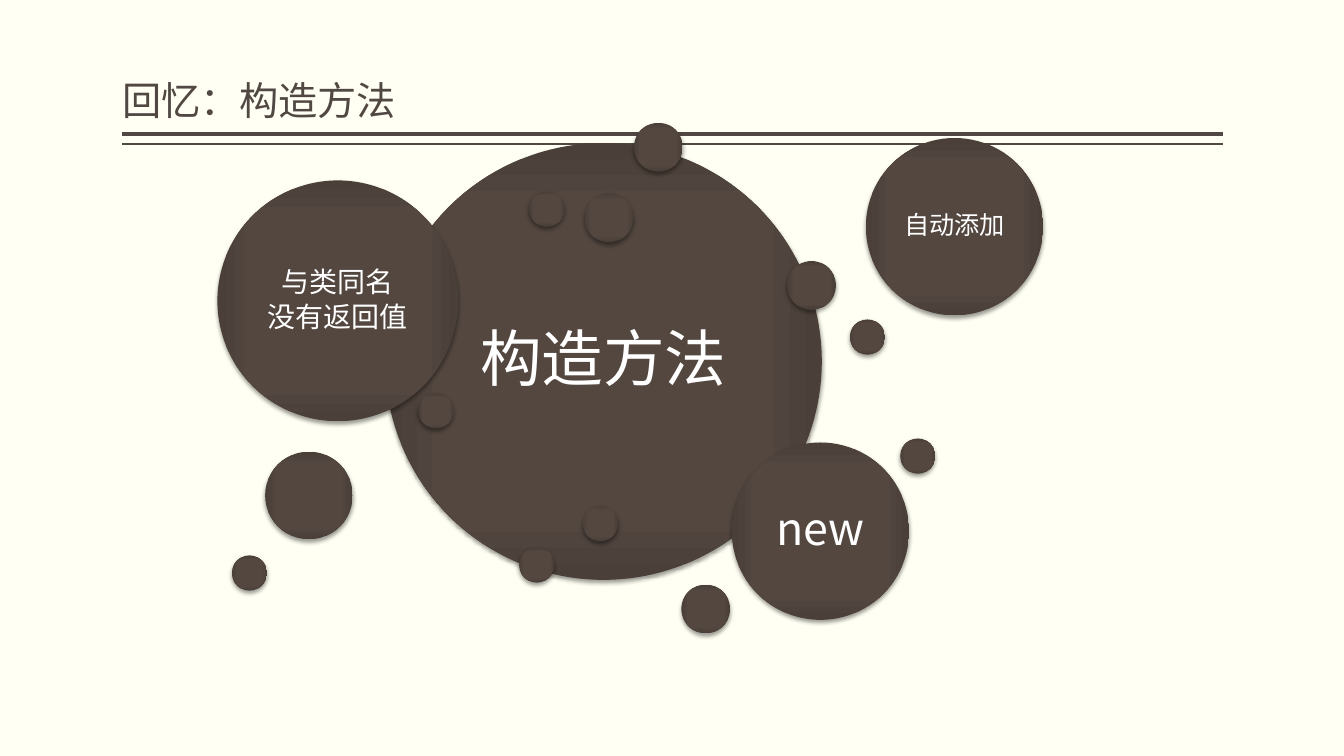
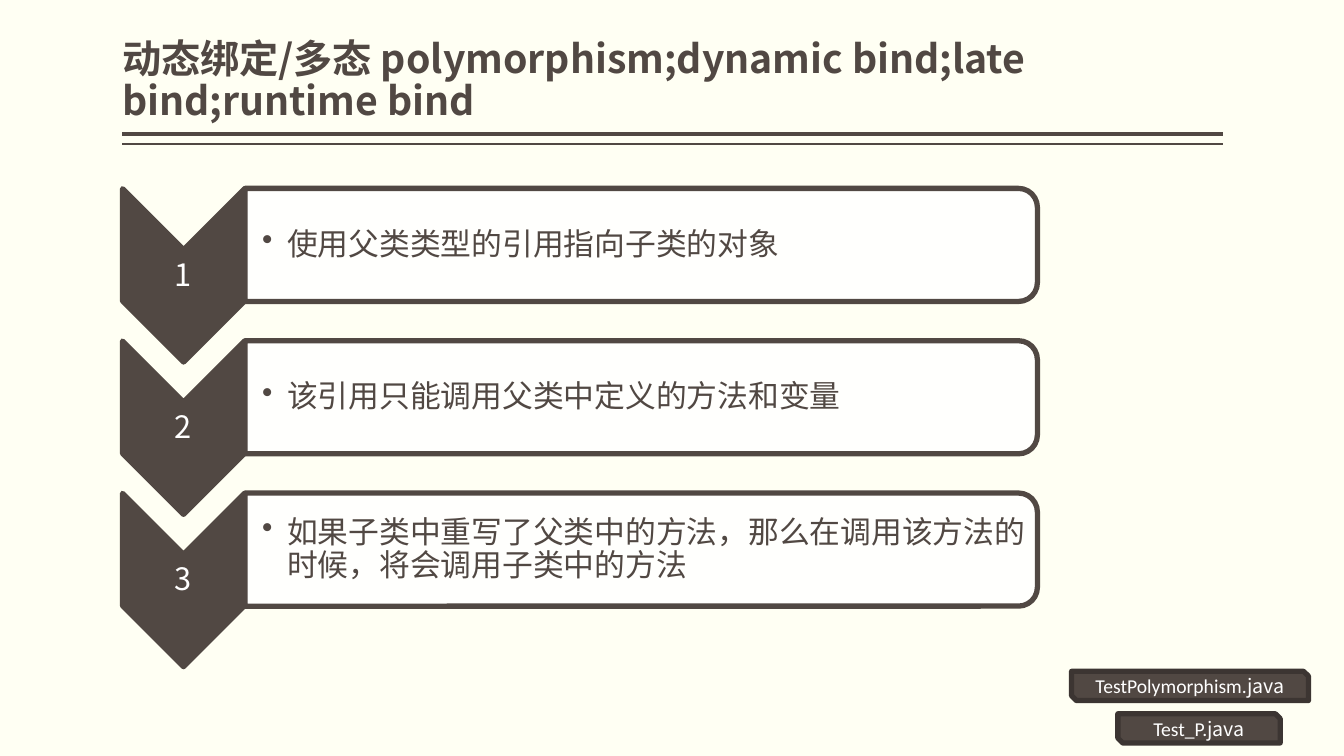
from dataclasses import dataclass
from typing import NamedTuple

from pptx import Presentation, util as u
from pptx.dml.color import RGBColor
from pptx.enum import shapes as sh, text as tx
from pptx.oxml import parse_xml, xmlchemy as xc
from pptx.oxml.ns import nsdecls, qn

Pt = u.Pt
Kind = sh.MSO_SHAPE
Mid = tx.MSO_ANCHOR.MIDDLE
Low = tx.MSO_ANCHOR.BOTTOM
Left = tx.PP_ALIGN.LEFT
Mean = tx.PP_ALIGN.CENTER


@dataclass(frozen=True)
class Theme:
    paper: str = "FFFFF3"
    ink: str = "514843"
    edge: str = "3C3532"
    white: str = "FFFFFF"
    glow: tuple = ((0, "544740"), (71, "534740"), (100, "4A3F39"))
    face: str = "Noto Sans CJK SC"
    latin: str = "Calibri"
    title: float = 28
    body: float = 22
    tag: float = 14
    stroke: float = 3.78


T = Theme()


class Box(NamedTuple):
    left: float
    top: float
    width: float
    height: float

    def down(self, gap: float) -> "Box":
        return self._replace(top=self.top + gap)

    def turned(self) -> "Box":
        """Frame that fills this box after a quarter turn."""
        shift = (self.width - self.height) / 2
        return Box(self.left + shift, self.top - shift, self.height, self.width)

    def points(self) -> list:
        return [Pt(n) for n in self]


class Ball(NamedTuple):
    left: float
    top: float
    size: float
    lines: tuple = ()
    points: float = 0


class Tag(NamedTuple):
    box: Box
    stem: str


SMALL, MEDIUM, LARGE = 25.2, 34.8, 126.7

BALLS = (
    Ball(275, 102.2, 312, ("构造方法",), 44),
    Ball(452.9, 87.8, MEDIUM),
    Ball(370.8, 391, SMALL),
    Ball(607, 228.2, SMALL),
    Ball(486.7, 417.6, MEDIUM),
    Ball(378, 136.8, SMALL),
    Ball(298.8, 280.8, SMALL),
    Ball(155.3, 128.9, 172, ("与类同名", "没有返回值"), 20),
    Ball(417.6, 138.2, MEDIUM),
    Ball(189.4, 322.6, 62.6),
    Ball(618.5, 98.6, LARGE, ("自动添加",), 18),
    Ball(562.3, 186.5, MEDIUM),
    Ball(165.6, 396.7, SMALL),
    Ball(416.2, 361.4, SMALL),
    Ball(522.7, 316.1, LARGE, ("new",), 32),
    Ball(643, 313.2, SMALL),
)

STEPS = (
    "使用父类类型的引用指向子类的对象",
    "该引用只能调用父类中定义的方法和变量",
    "如果子类中重写了父类中的方法，那么在调用该方法的时候，将会调用子类中的方法",
)
PITCH = 108.8
ARROW = Box(87.5, 134.8, 87.2, 123.8)
DIGIT = Box(87.5, 178.6, 87.2, 37.4)
CARD = Box(175, 134.6, 566, 80.8)
NOTE = Box(175, 139, 561.6, 72.7)

TAGS = (
    Tag(Box(765.4, 479.5, 169.2, 20.9), "TestPolymorphism."),
    Tag(Box(798.5, 509.8, 115.9, 20.9), "Test_P."),
)

START, END = 87.2, 873.4
RULES = ((95.8, 3), (103, 1))


def shade(code: str) -> RGBColor:
    return RGBColor.from_string(code)


def style(run, face: str, size: float, tint: str, bold: bool = False) -> None:
    font = run.font
    font.name, font.size, font.bold = face, Pt(size), bold
    font.color.rgb = shade(tint)
    if face == T.face:
        font._element.find(qn("a:latin")).addnext(
            parse_xml(f'<a:ea {nsdecls("a")} typeface="{face}"/>'))


def write(shape, *lines: str, size: float, tint: str, face: str = T.face,
          bold: bool = False, align=Left, anchor=Mid, pad: tuple = (0, 0, 0, 0),
          space: float = 0.9, after: float = 0, mark: str = "") -> None:
    frame = shape.text_frame
    frame.word_wrap = True
    frame.vertical_anchor = anchor
    (frame.margin_left, frame.margin_top,
     frame.margin_right, frame.margin_bottom) = [Pt(n) for n in pad]
    for i, line in enumerate(lines):
        para = frame.add_paragraph() if i else frame.paragraphs[0]
        para.alignment, para.line_spacing = align, space
        para.space_after = Pt(after)
        style(para.add_run(), face, size, tint, bold)
        para.runs[0].text = line
        if mark:
            props = para._p.get_or_add_pPr()
            props.set("marL", str(Pt(18)))
            props.set("indent", str(-Pt(18)))
            props.append(parse_xml(f'<a:buChar {nsdecls("a")} char="{mark}"/>'))


def draw(slide, kind, box: Box, fill: str, line: str = "", turn: bool = False):
    frame = box.turned() if turn else box
    shape = slide.shapes.add_shape(kind, *frame.points())
    shape.shadow.inherit = False
    shape.rotation = 90 if turn else 0
    shape.fill.solid()
    shape.fill.fore_color.rgb = shade(fill)
    if line:
        shape.line.color.rgb = shade(line)
        shape.line.width = Pt(T.stroke)
    else:
        shape.line.fill.background()
    return shape


def label(slide, box: Box, *lines: str, **form) -> None:
    write(slide.shapes.add_textbox(*box.points()), *lines, **form)


def begin(deck, title: str, bold: bool = False):
    """Add a slide with the double rule and the title."""
    slide = deck.slides.add_slide(deck.slide_layouts[6])
    for y, width in RULES:
        rule = slide.shapes.add_connector(
            sh.MSO_CONNECTOR.STRAIGHT, Pt(END), Pt(y), Pt(START), Pt(y))
        rule.line.color.rgb = shade(T.ink)
        rule.line.width = Pt(width)
        rule._element.spPr.append(parse_xml(f'<a:effectLst {nsdecls("a")}/>'))
    label(slide, Box(START, 5.8, END - START, 86.4), title, size=T.title,
          tint=T.ink, bold=bold, anchor=Low, pad=(0, 3.6, 0, 3.6))
    return slide


def polish(shape) -> None:
    """Give a ball its glow from the centre and its soft shadow."""
    props = shape._element.spPr
    stops = "".join(f'<a:gs pos="{at * 1000}"><a:srgbClr val="{code}"/></a:gs>'
                    for at, code in T.glow)
    props.replace(props.find(qn("a:solidFill")), parse_xml(
        f'<a:gradFill {nsdecls("a")} rotWithShape="1"><a:gsLst>{stops}</a:gsLst>'
        '<a:path path="rect"><a:fillToRect l="50000" t="50000" r="50000" '
        'b="50000"/></a:path></a:gradFill>'))
    props.find(qn("a:effectLst")).append(parse_xml(
        f'<a:outerShdw {nsdecls("a")} blurRad="{Pt(3.1)}" dist="{Pt(2)}" '
        'dir="5400000" rotWithShape="0"><a:srgbClr val="000000">'
        '<a:alpha val="38000"/></a:srgbClr></a:outerShdw>'))


def bubble(slide, ball: Ball) -> None:
    box = Box(ball.left, ball.top, ball.size, ball.size)
    shape = draw(slide, Kind.OVAL, box, T.glow[0][1])
    polish(shape)
    if ball.lines:
        write(shape, *ball.lines, size=ball.points, tint=T.white,
              align=Mean, after=3)


def step(slide, rank: int, line: str) -> None:
    gap = rank * PITCH
    draw(slide, Kind.CHEVRON, ARROW.down(gap), T.ink, T.ink, turn=True)
    label(slide, DIGIT.down(gap), str(rank + 1), size=T.body, tint=T.white,
          align=Mean, pad=(1.4,) * 4)
    card = draw(slide, Kind.ROUND_2_SAME_RECTANGLE, CARD.down(gap),
                T.white, T.ink, turn=True)
    tint = card._element.spPr.find(qn("a:solidFill"))[0]
    tint.append(parse_xml(f'<a:alpha {nsdecls("a")} val="90000"/>'))
    label(slide, NOTE.down(gap), line, size=T.body, tint=T.ink,
          pad=(12.2, 1.4, 1.4, 1.4), mark="•")


def badge(slide, tag: Tag) -> None:
    shape = draw(slide, Kind.SNIP_2_DIAG_RECTANGLE, tag.box, T.ink, T.edge)
    write(shape, tag.stem, size=T.tag, tint=T.white, face=T.latin,
          align=Mean, pad=(7.2, 3.6, 7.2, 3.6), space=1.0)
    run = shape.text_frame.paragraphs[0].add_run()
    run.text = "java"
    style(run, T.face, T.tag, T.white)


def main() -> None:
    deck = Presentation()
    deck.slide_width, deck.slide_height = Pt(960), Pt(540)
    back = deck.slide_master.background.fill
    back.solid()
    back.fore_color.rgb = shade(T.paper)

    slide = begin(deck, "回忆：构造方法")
    for ball in BALLS:
        bubble(slide, ball)

    slide = begin(deck, "动态绑定/多态 polymorphism;dynamic bind;late bind;runtime bind",
                  bold=True)
    for rank, line in enumerate(STEPS):
        step(slide, rank, line)
    for tag in TAGS:
        badge(slide, tag)

    deck.save("out.pptx")


if __name__ == "__main__":
    main()
